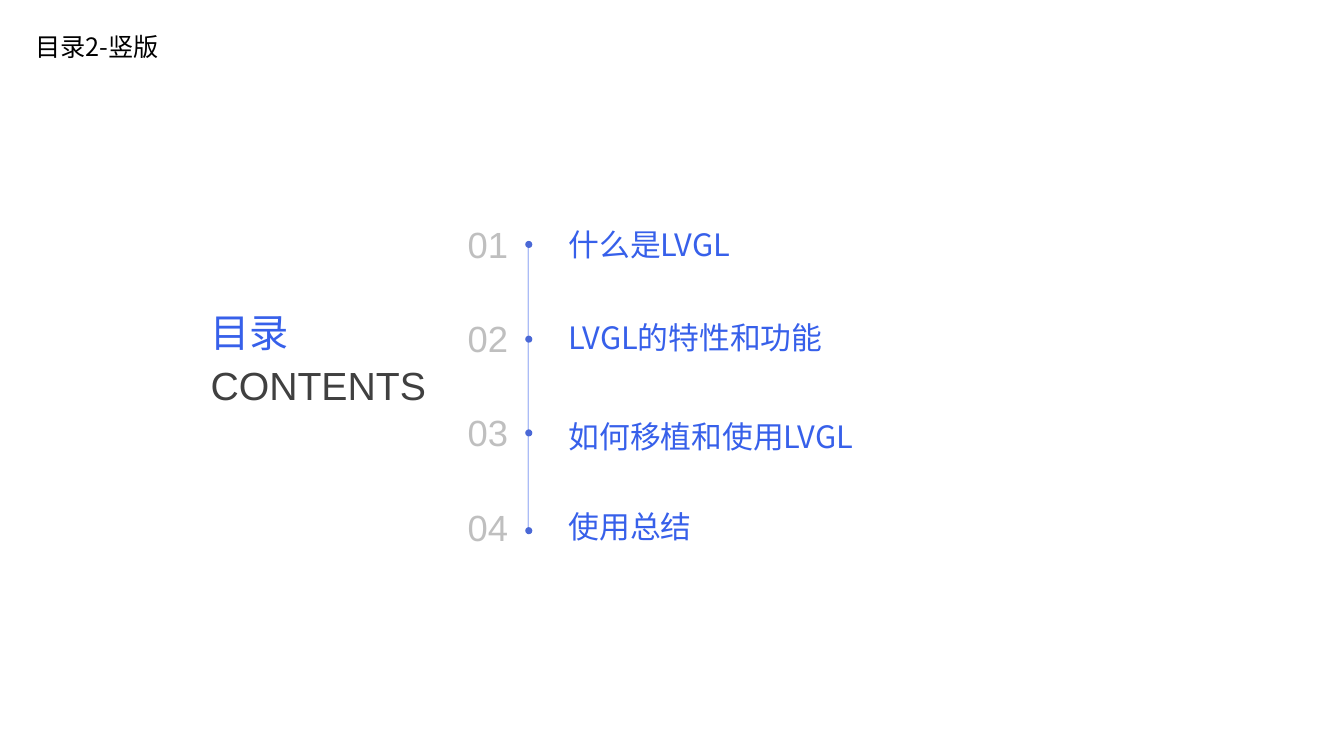
from pptx import Presentation
from pptx import util as u
from pptx.dml.color import RGBColor
from pptx.enum import shapes, text
from pptx.oxml.ns import qn
from lxml import etree

SANS, ARIAL = "Noto Sans CJK SC", "Arial"
BLUE, DOT, GREY, DARK, BLACK = "3760EA", "4A68D6", "BFBFBF", "404040", "000000"

# Label, label top, dot top
ITEMS = [
    ("什么是LVGL", 2.24, 2.39),
    ("LVGL的特性和功能", 3.16, 3.33),
    ("如何移植和使用LVGL", 4.14, 4.26),
    ("使用总结", 5.04, 5.23),
]
NUM_TOP, STEP = 2.15, 0.937


def color(code):
    return RGBColor.from_string(code)


def inches(*sizes):
    return [u.Inches(size) for size in sizes]


def write(box, words, size, face, code, wrap=True, pad=None):
    """Fill a box or placeholder with one formatted line."""
    frame = box.text_frame
    setup = {"word_wrap": wrap, "auto_size": text.MSO_AUTO_SIZE.NONE,
             "vertical_anchor": text.MSO_ANCHOR.TOP}
    if pad is not None:
        for side in ("left", "top", "right", "bottom"):
            setup["margin_" + side] = u.Inches(pad)
    for name, value in setup.items():
        setattr(frame, name, value)
    para = frame.paragraphs[0]
    para.alignment = text.PP_ALIGN.LEFT
    para.line_spacing = 1.0
    run = para.add_run()
    run.text = words
    for name, value in {"size": u.Pt(size), "name": face, "bold": False}.items():
        setattr(run.font, name, value)
    run.font.color.rgb = color(code)
    # East Asian glyphs take the same face
    east = etree.SubElement(run.font._element, qn("a:ea"))
    east.set("typeface", face)


def label(slide, place, *style, **setup):
    write(slide.shapes.add_textbox(*inches(*place)), *style, **setup)


def head(slide, place, *style, **setup):
    title = slide.shapes.title
    title.left, title.top, title.width, title.height = inches(*place)
    write(title, *style, **setup)


def rule(slide, x, top, end):
    line = slide.shapes.add_connector(
        shapes.MSO_CONNECTOR.STRAIGHT, *inches(x, top, x, end))
    line.line.width = u.Pt(1)
    line.line.color.rgb = color(BLUE)
    tint = line._element.spPr.find(".//" + qn("a:srgbClr"))
    etree.SubElement(tint, qn("a:alpha")).set("val", "42000")
    etree.SubElement(line._element.spPr, qn("a:effectLst"))


def dot(slide, x, y):
    mark = slide.shapes.add_shape(
        shapes.MSO_SHAPE.OVAL, *inches(x, y, 0.07, 0.07))
    mark.shadow.inherit = False
    mark.fill.solid()
    mark.fill.fore_color.rgb = color(DOT)
    mark.line.fill.background()


def main():
    deck = Presentation()
    deck.slide_width, deck.slide_height = inches(13.33, 7.5)
    slide = deck.slides.add_slide(deck.slide_layouts[5])

    # Headings
    head(slide, (1.99, 3.01, 0.99, 0.57), "目录", 28, SANS, BLUE, wrap=False)
    label(slide, (1.99, 3.54, 2.36, 0.57), "CONTENTS", 28, ARIAL, DARK, wrap=False)
    label(slide, (0.25, 0.26, 1.47, 0.4), "目录2-竖版", 18, SANS, BLACK)

    # Timeline with numbered entries
    rule(slide, 5.24, 2.46, 5.3)
    for i, (words, top, spot) in enumerate(ITEMS):
        label(slide, (4.54, NUM_TOP + i * STEP, 0.87, 0.55),
              f"{i + 1:02}", 26, ARIAL, GREY)
        dot(slide, 5.21, spot)
        label(slide, (5.64, top, 3.15, 0.38), words, 22, SANS, BLUE, pad=0)

    deck.save("out.pptx")


if __name__ == "__main__":
    main()
